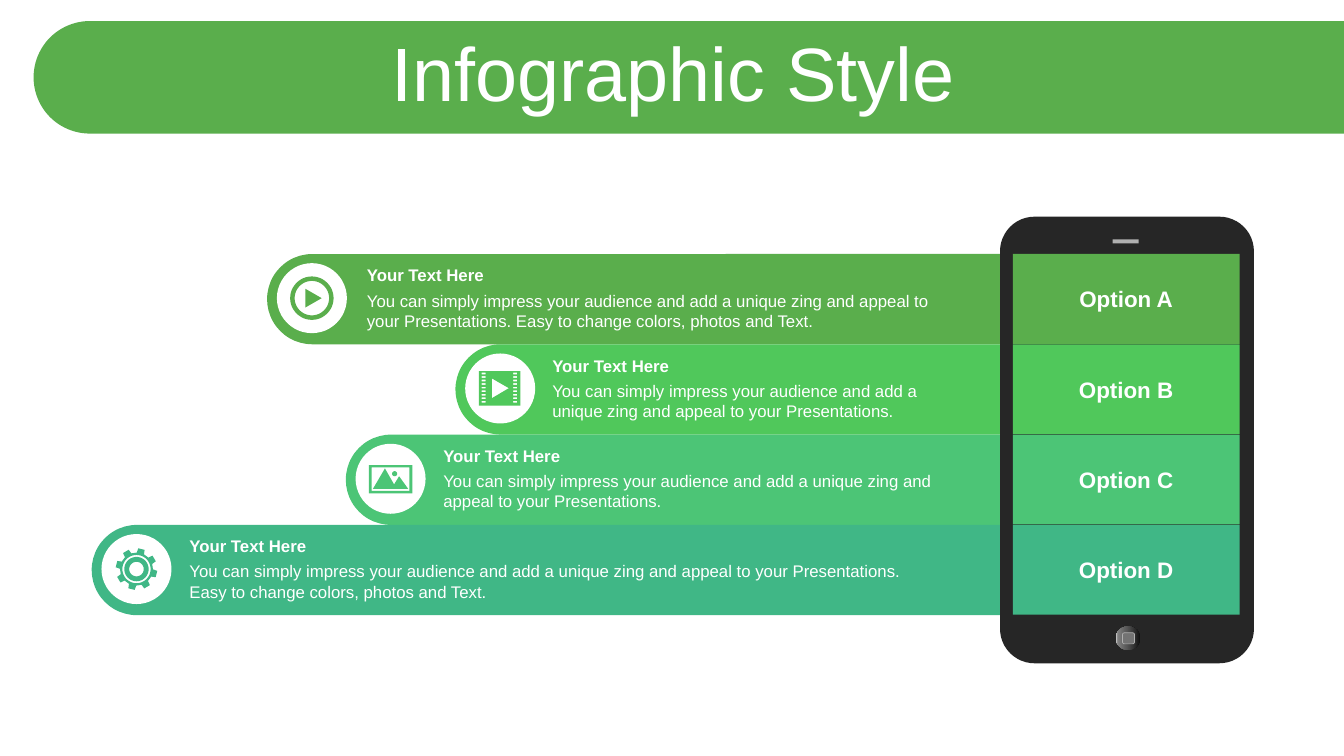
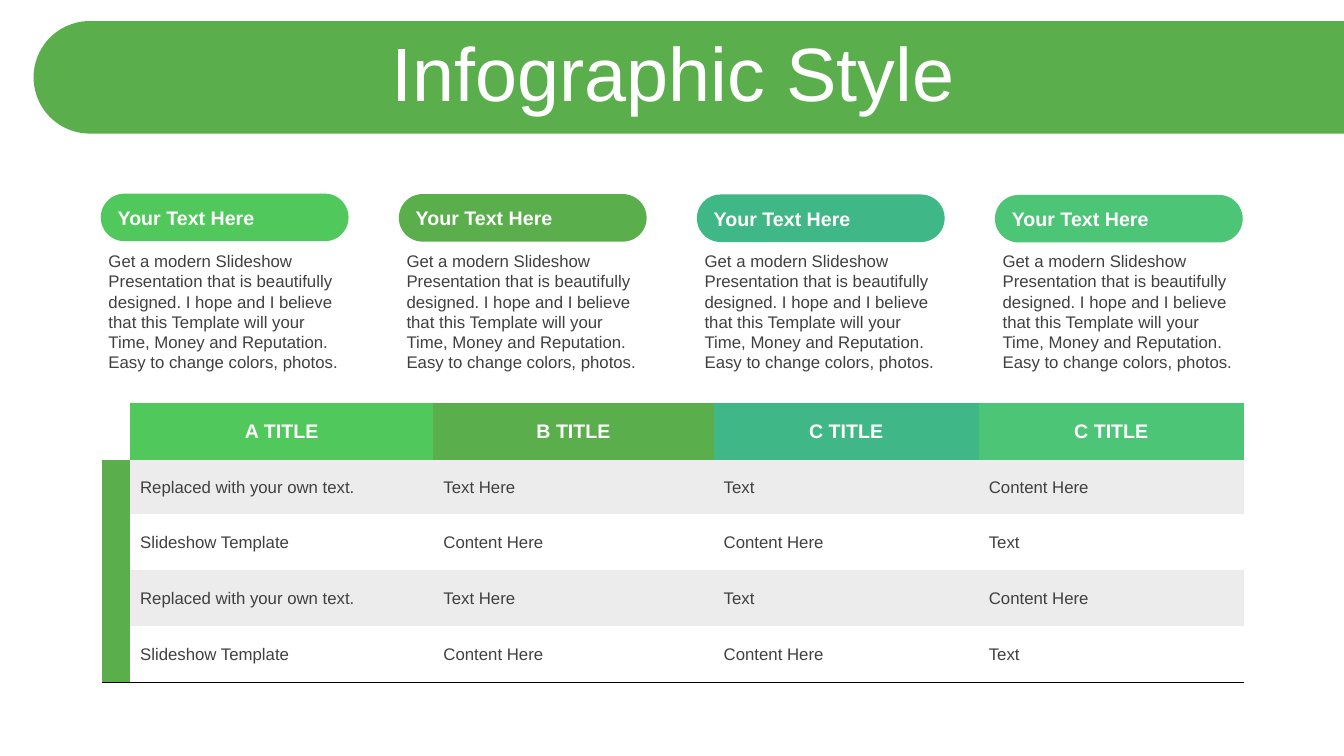
"""Build two infographic slides: a phone with four options, and a titled table."""
from math import cos, pi, radians, sin

from lxml.etree import SubElement
from pptx import Presentation
from pptx.dml.color import RGBColor
from pptx.enum.shapes import MSO_SHAPE as Kind
from pptx.enum.text import MSO_ANCHOR as Anchor, PP_ALIGN as Align
from pptx.oxml.ns import qn
from pptx.util import Pt

GREEN = RGBColor(0x5A, 0xAE, 0x4C)
LIME = RGBColor(0x50, 0xC8, 0x5B)
MINT = RGBColor(0x4C, 0xC5, 0x76)
TEAL = RGBColor(0x40, 0xB7, 0x86)
WHITE = RGBColor(0xFF, 0xFF, 0xFF)
INK = RGBColor(0x40, 0x40, 0x40)
DARK = RGBColor(0x26, 0x26, 0x26)
GREY = RGBColor(0x73, 0x73, 0x73)
SILVER = RGBColor(0xB0, 0xB0, 0xB0)
PALE = RGBColor(0xEC, 0xEC, 0xEC)
SHINE = [(0, "0F0F0F"), (56, "595959"), (91, "808080"), (100, "BFBFBF")]
PLAIN = "{2D5ABB26-0587-4C30-8999-92F81FD0307C}"
FONT = "Arial"

TITLE = "Infographic Style"
HEAD = "Your Text Here"
SHORT = ("You can simply impress your audience and add a unique zing "
         "and appeal to your Presentations.")
LONG = SHORT + " Easy to change colors, photos and Text."
NOTE = ("Get a modern Slideshow Presentation that is beautifully designed. "
        "I hope and I believe that this Template will your Time, Money and "
        "Reputation. Easy to change colors, photos.")

OPTIONS = [
    ("Option A", GREEN, 190.8, 255, LONG, "play"),
    ("Option B", LIME, 325.3, 387.4, SHORT, "film"),
    ("Option C", MINT, 247, 309.6, SHORT, "photo"),
    ("Option D", TEAL, 65.5, 128.2, LONG, "gear"),
]
HUES = [LIME, GREEN, TEAL, MINT]
TITLES = ["A TITLE", "B TITLE", "C TITLE", "C TITLE"]
ROWS = [
    ["Replaced with your own text.", "Text Here", "Text", "Content Here"],
    ["Slideshow Template", "Content Here", "Content Here", "Text"],
] * 2
WIDTHS = [20.2, 216.7, 200.2, 189.4, 189.4]
HEIGHTS = [40.7, 38.7, 40, 40, 40]


def write(frame, text, size=12, color=WHITE, bold=False, align=Align.LEFT,
          anchor=Anchor.TOP, space=None):
    frame.word_wrap = True
    frame.vertical_anchor = anchor
    para = frame.paragraphs[0]
    para.alignment = align
    para.line_spacing = space
    run = para.add_run()
    run.text = text
    font = run.font
    font.name, font.size, font.bold = FONT, Pt(size), bold
    font.color.rgb = color


def label(slide, text, x, y, w, h, **form):
    box = slide.shapes.add_textbox(Pt(x), Pt(y), Pt(w), Pt(h))
    write(box.text_frame, text, **form)


def paint(shape, fill, line=None):
    shape.shadow.inherit = False
    shape.fill.solid()
    shape.fill.fore_color.rgb = fill
    if line is None:
        shape.line.fill.background()
    else:
        shape.line.color.rgb = line
        shape.line.width = Pt(0.5)


def draw(slide, kind, x, y, w, h, fill, line=None, round=None):
    shape = slide.shapes.add_shape(kind, Pt(x), Pt(y), Pt(w), Pt(h))
    paint(shape, fill, line)
    if round is not None:
        shape.adjustments[0] = round
    return shape


def tab(slide, x, y, w, h, fill):
    shape = draw(slide, Kind.ROUND_2_SAME_RECTANGLE, x + (w - h) / 2,
                 y + (h - w) / 2, h, w, fill, round=0.5)
    shape.rotation = 270


def ring(r, x=0, y=0, count=48):
    turns = [2 * pi * i / count for i in range(count)]
    return [(x + r * cos(t), y + r * sin(t)) for t in turns]


def rect(x, y, w, h):
    return [(x, y), (x + w, y), (x + w, y + h), (x, y + h)]


def cog(teeth=8, start=-76):
    points = []
    for i in range(teeth):
        for turn, r in [(-13, 11.8), (-9, 14.9), (9, 14.9), (13, 11.8)]:
            t = radians(start + 360 * i / teeth + turn)
            points.append((r * cos(t), r * sin(t)))
    return points


ICONS = {
    "play": [ring(15.5), ring(12.3), [(-4.7, -6.7), (7, 0), (-4.7, 6.7)]],
    "film": [rect(-15.2, -12.4, 29.6, 24.6),
             [(-6, -7.2), (6.2, -0.2), (-6, 7)]]
            + [rect(x, -11.3 + 2.53 * i, 2.9, 1.2)
               for x in (-13.2, 9.2) for i in range(9)],
    "photo": [rect(-15.5, -9.8, 31, 20.2), rect(-13.6, -8.1, 27, 16.8),
              [(-4, -7.4), (2.5, 4), (6.1, -1.8), (12.6, 7.2), (-12.6, 7.2)],
              ring(1.8, 2.9, -3.6)],
    "gear": [cog(), ring(10.1), ring(8.7), ring(5.2)],
}


def icon(slide, name, cx, cy, color):
    loops = [[(Pt(cx + x), Pt(cy + y)) for x, y in loop]
             for loop in ICONS[name]]
    pen = slide.shapes.build_freeform(*loops[0][0])
    for i, loop in enumerate(loops):
        if i:
            pen.move_to(*loop[0])
        pen.add_line_segments(loop[1:], close=True)
    paint(pen.convert_to_shape(), color)


def start(deck):
    slide = deck.slides.add_slide(deck.slide_layouts[6])
    tab(slide, 24, 15, 936, 80.4, GREEN)
    label(slide, TITLE, 25.2, 26.6, 911.5, 56.9, size=54,
          align=Align.CENTER, anchor=Anchor.MIDDLE, space=0.9)
    return slide


def shine(shape):
    shape.fill.gradient()
    shape.fill.gradient_angle = 180
    stops = next(shape.element.iter(qn("a:gsLst")))
    for stop in list(stops):
        stops.remove(stop)
    for place, color in SHINE:
        stop = SubElement(stops, qn("a:gs"), pos=str(place * 1000))
        SubElement(stop, qn("a:srgbClr"), val=color)


def phone(slide, top, step):
    draw(slide, Kind.ROUNDED_RECTANGLE, 714.3, 154.8, 181.4, 319, DARK,
         round=0.136)
    draw(slide, Kind.RECTANGLE, 794.7, 171, 18.7, 2.9, SILVER)
    shine(draw(slide, Kind.OVAL, 797, 447.3, 17.6, 17, GREY))
    draw(slide, Kind.ROUNDED_RECTANGLE, 801.8, 452, 8.6, 7.9, GREY, SILVER)
    for i, (name, color, *_) in enumerate(OPTIONS):
        panel = draw(slide, Kind.RECTANGLE, 723.4, top + i * step, 162,
                     step - 0.3, color)
        write(panel.text_frame, name, size=16, bold=True,
              align=Align.CENTER, anchor=Anchor.MIDDLE)


def options(deck):
    slide = start(deck)
    top, step, disc, edge = 181.4, 64.5, 50, 714.3
    for i, (_, color, x, left, text, name) in enumerate(OPTIONS):
        y = top + i * step
        tab(slide, x, y, edge - x, step, color)
        wide = 675.5 - left
        label(slide, HEAD, left, y + 4.4, wide, 21.8, bold=True)
        label(slide, text, left, y + 22.4, wide, 36.4)
        draw(slide, Kind.OVAL, x + 7, y + 6.6, disc, disc, WHITE)
        icon(slide, name, x + 7 + disc / 2, y + 6.6 + disc / 2, color)
    phone(slide, top, step)


def fill(cell, color):
    if color is None:
        cell.fill.background()
    else:
        cell.fill.solid()
        cell.fill.fore_color.rgb = color


def rule(cell):
    props = cell._tc.get_or_add_tcPr()
    line = SubElement(props, qn("a:lnB"), w=str(Pt(1)))
    paint = SubElement(line, qn("a:solidFill"))
    SubElement(paint, qn("a:srgbClr"), val="000000")
    props.insert(0, line)


def grid(slide):
    frame = slide.shapes.add_table(
        len(HEIGHTS), len(WIDTHS), Pt(72.7), Pt(288), Pt(sum(WIDTHS)),
        Pt(sum(HEIGHTS)))
    table = frame.table
    table.first_row = table.horz_banding = False
    next(frame._element.iter(qn("a:tableStyleId"))).text = PLAIN
    for col, width in zip(table.columns, WIDTHS):
        col.width = Pt(width)
    for row, height in zip(table.rows, HEIGHTS):
        row.height = Pt(height)
    for r, texts in enumerate([TITLES] + ROWS):
        fill(table.cell(r, 0), GREEN if r else WHITE)
        for c, text in enumerate(texts):
            cell = table.cell(r, c + 1)
            cell.margin_top = cell.margin_bottom = Pt(5)
            cell.vertical_anchor = Anchor.MIDDLE
            if r:
                fill(cell, PALE if r % 2 else None)
                form = dict(color=INK)
            else:
                fill(cell, HUES[c])
                form = dict(size=14, bold=True, align=Align.CENTER)
            write(cell.text_frame, text, anchor=Anchor.MIDDLE, **form)
    for c in range(len(WIDTHS)):
        rule(table.cell(len(ROWS), c))


def columns(deck):
    slide = start(deck)
    grid(slide)
    for i, color in enumerate(HUES):
        x = 72 + 212.9 * i
        pill = draw(slide, Kind.ROUNDED_RECTANGLE, x, 138.3 + 0.3 * i, 177,
                    34, color, round=0.5)
        write(pill.text_frame, HEAD, size=14, bold=True,
              anchor=Anchor.MIDDLE)
        label(slide, NOTE, x - 1.6, 175.7, 179.3, 94.3, color=INK)


def main():
    deck = Presentation()
    deck.slide_width, deck.slide_height = Pt(960), Pt(540)
    options(deck)
    columns(deck)
    deck.save("out.pptx")


if __name__ == "__main__":
    main()
